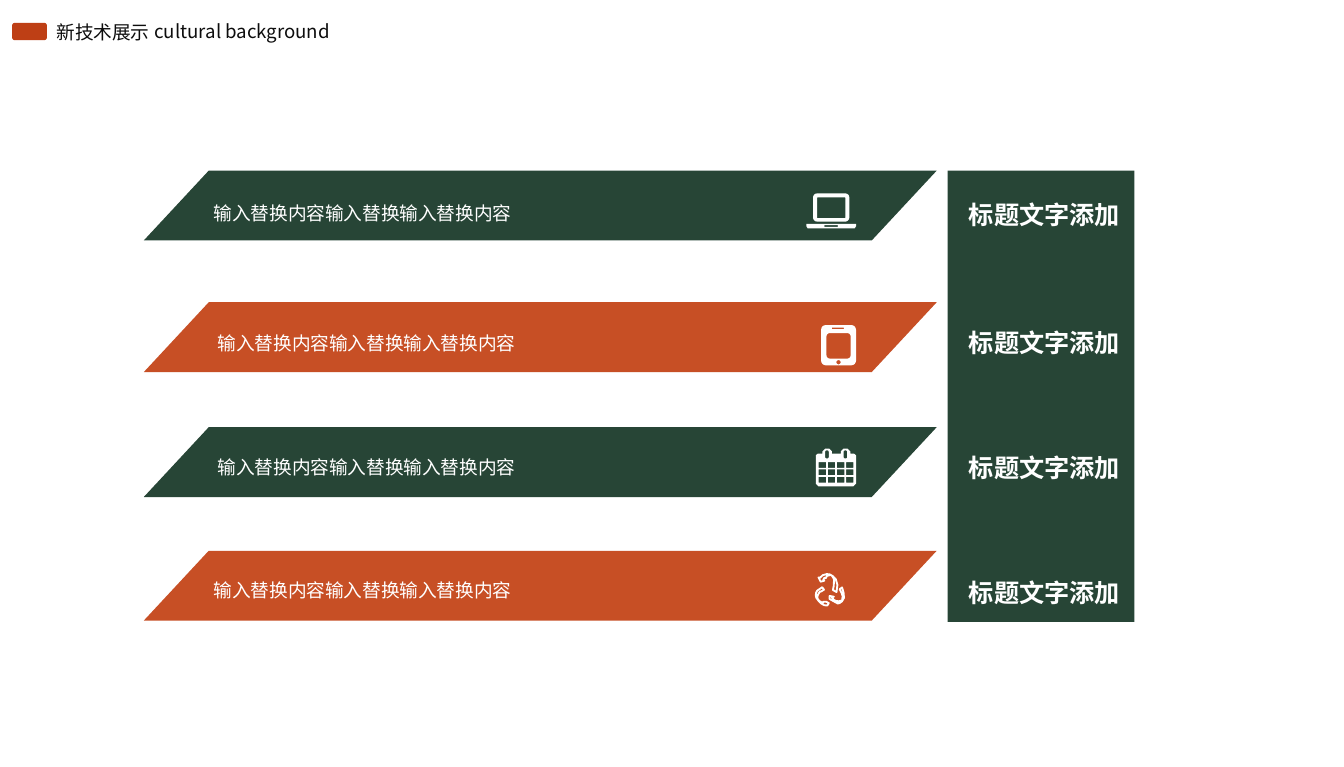
from dataclasses import dataclass
from math import cos, pi, sin

from lxml import etree
from pptx import Presentation
from pptx.dml.color import RGBColor
from pptx.enum.shapes import MSO_SHAPE
from pptx.enum.text import MSO_ANCHOR, PP_ALIGN
from pptx.oxml.ns import qn
from pptx.util import Inches, Pt

RECTANGLE = MSO_SHAPE.RECTANGLE
ROUNDED = MSO_SHAPE.ROUNDED_RECTANGLE
PARALLELOGRAM = MSO_SHAPE.PARALLELOGRAM
MIDDLE = MSO_ANCHOR.MIDDLE
LEFT, JUSTIFY = PP_ALIGN.LEFT, PP_ALIGN.JUSTIFY

GREEN, ORANGE, RUST = "274536", "C74F25", "BE3F15"
WHITE, BLACK = "FFFFFF", "0D0D0D"
CJK_FONT, LABEL_FONT = "Noto Sans CJK SC", "Calibri"
BODY = "输入替换内容输入替换输入替换内容"
LABEL = "标题文字添加"

Contour = list[tuple[float, float]]


@dataclass
class Icon:
    """Contours are in hundredths of an inch from (left, top)."""
    left: float
    top: float
    contours: list[Contour]
    rotation: float = 0
    outlined: bool = False


@dataclass
class Band:
    top: float
    color: str
    body_box: tuple[float, float, float, float]
    label_top: float
    icon: Icon


def rounded(left: float, top: float, right: float, bottom: float, radius: float = 0) -> Contour:
    if not radius:
        return [(left, top), (right, top), (right, bottom), (left, bottom)]
    centers = [(right - radius, bottom - radius), (left + radius, bottom - radius),
               (left + radius, top + radius), (right - radius, top + radius)]
    return [(x + radius * cos((quarter + step / 4) * pi / 2),
             y + radius * sin((quarter + step / 4) * pi / 2))
            for quarter, (x, y) in enumerate(centers) for step in range(5)]


def rgb(color: str) -> RGBColor:
    return RGBColor.from_string(color)


def fill_plain(shape, color: str) -> None:
    shape.shadow.inherit = False
    shape.fill.solid()
    shape.fill.fore_color.rgb = rgb(color)
    shape.line.fill.background()


def add_block(slide, kind, left: float, top: float, width: float, height: float, color: str):
    block = slide.shapes.add_shape(kind, Inches(left), Inches(top), Inches(width), Inches(height))
    fill_plain(block, color)
    return block


def write(box, text: str, size: float, color: str, font: str = CJK_FONT, bold: bool = False,
          wrap: bool = True, align=LEFT, spacing: float = 1.0) -> None:
    frame = box.text_frame
    frame.text = text
    frame.word_wrap = wrap
    frame.vertical_anchor = MIDDLE
    frame.margin_left = frame.margin_right = Inches(0.08)
    frame.margin_top = frame.margin_bottom = Inches(0.04)
    paragraph = frame.paragraphs[0]
    paragraph.alignment = align
    paragraph.line_spacing = spacing
    run = paragraph.runs[0]
    run.font.size = Pt(size)
    run.font.bold = bold
    run.font.name = font
    run.font.color.rgb = rgb(color)
    east_asian = etree.SubElement(run.font._element, qn("a:ea"))
    east_asian.set("typeface", CJK_FONT)


def add_text_box(slide, left: float, top: float, width: float, height: float):
    return slide.shapes.add_textbox(Inches(left), Inches(top), Inches(width), Inches(height))


def draw_icon(slide, icon: Icon) -> None:
    contours = [[(x * 10, y * 10) for x, y in contour] for contour in icon.contours]
    builder = slide.shapes.build_freeform(*contours[0][0], scale=Inches(1) / 1000)
    builder.add_line_segments(contours[0][1:], close=True)
    for contour in contours[1:]:
        builder.move_to(*contour[0])
        builder.add_line_segments(contour[1:], close=True)
    shape = builder.convert_to_shape(Inches(icon.left), Inches(icon.top))
    fill_plain(shape, WHITE)
    shape.rotation = icon.rotation
    if icon.outlined:
        shape.fill.background()
        shape.line.color.rgb = rgb(WHITE)
        shape.line.width = Pt(1)


def draw_band(slide, band: Band) -> None:
    bar = add_block(slide, PARALLELOGRAM, 1.07, band.top, 5.9, 0.52, band.color)
    bar.adjustments[0] = 0.93
    draw_icon(slide, band.icon)
    write(add_text_box(slide, 7.13, band.label_top, 1.84, 0.37), LABEL, 13.5, WHITE,
          LABEL_FONT, bold=True, align=JUSTIFY, spacing=1.2)
    write(add_text_box(slide, *band.body_box), BODY, 10, WHITE)


LAPTOP = Icon(6, 1.44, [
    rounded(5, 0, 32, 21, 3), rounded(8, 3, 29, 18.5, 0.5),
    [(0, 22.7), (37, 22.7), (37, 24.5), (36, 26), (1, 26), (0, 24.5)],
    rounded(13.5, 23.7, 23.5, 25)])
TABLET = Icon(6.11, 2.42, [
    rounded(0, 0, 26, 30, 3.5), rounded(4, 6, 22, 25, 2.5),
    rounded(8, 2, 17, 3), rounded(11.4, 26.1, 14.6, 29.3, 1.6)])
CALENDAR = Icon(6.07, 3.34, [
    [(0, 5), (1.5, 3.7), (5, 3.7), (5, 2), (7, 0), (10, 0), (12, 2), (12, 3.7),
     (18.7, 3.7), (18.7, 2), (20.7, 0), (23.7, 0), (25.7, 2), (25.7, 3.7),
     (28.5, 3.7), (30, 5), (30, 26), (28, 28), (2, 28), (0, 26)],
    *[rounded(x, 1.3, x + 2.7, 7.3, 1) for x in (7, 20.7)],
    *[rounded(2.2 + 6.8 * column, 10 + 5.5 * row, 7.7 + 6.8 * column, 14.3 + 5.5 * row)
      for row in range(3) for column in range(4)]])
RECYCLING = Icon(6.05, 4.29, [
    [(7, 13), (10, 13), (11, 16), (12, 18), (13, 20), (14, 21), (16, 22), (17, 22),
     (18, 21), (19, 20), (19, 18), (20, 18), (20, 16), (19, 16), (21, 14), (24, 16),
     (23, 16), (22, 19), (21, 20), (20, 21), (18, 22), (15, 22), (12, 21), (9, 18)],
    [(9, 6), (10, 8), (7, 9), (8, 8), (6, 7), (4, 7), (2, 8), (1, 9), (0, 10),
     (1, 11), (1, 12), (2, 13), (3, 14), (6, 16), (5, 18), (2, 15), (0, 12),
     (0, 9), (1, 7), (2, 6), (4, 6), (7, 6)],
    [(13, 0), (16, 1), (18, 2), (19, 3), (20, 5), (20, 7), (19, 9), (18, 11),
     (16, 10), (17, 8), (18, 7), (18, 4), (17, 2), (15, 1), (12, 1), (12, 2),
     (10, 3), (8, 3), (8, 1), (10, 0)]], rotation=209.2, outlined=True)

BANDS = [
    Band(1.27, GREEN, (1.51, 1.45, 4.52, 0.27), 1.39, LAPTOP),
    Band(2.25, ORANGE, (1.54, 2.42, 4.48, 0.27), 2.34, TABLET),
    Band(3.18, GREEN, (1.54, 3.34, 4.57, 0.28), 3.27, CALENDAR),
    Band(4.1, ORANGE, (1.51, 4.26, 4.52, 0.27), 4.2, RECYCLING),
]


def main() -> None:
    presentation = Presentation()
    presentation.slide_width = Inches(10)
    presentation.slide_height = Inches(5.71)
    slide = presentation.slides.add_slide(presentation.slide_layouts[5])

    title = slide.shapes.title
    title.left, title.top = Inches(0.34), Inches(0.1)
    title.width, title.height = Inches(0.9), Inches(0.27)
    write(title, "新技术展示", 10, BLACK, wrap=False)
    write(add_text_box(slide, 1.07, 0.1, 2.26, 0.27), "cultural background", 10, BLACK)

    add_block(slide, ROUNDED, 0.09, 0.17, 0.26, 0.13, RUST)
    add_block(slide, RECTANGLE, 7.05, 1.27, 1.39, 3.36, GREEN)
    for band in BANDS:
        draw_band(slide, band)
    presentation.save("out.pptx")


if __name__ == "__main__":
    main()
